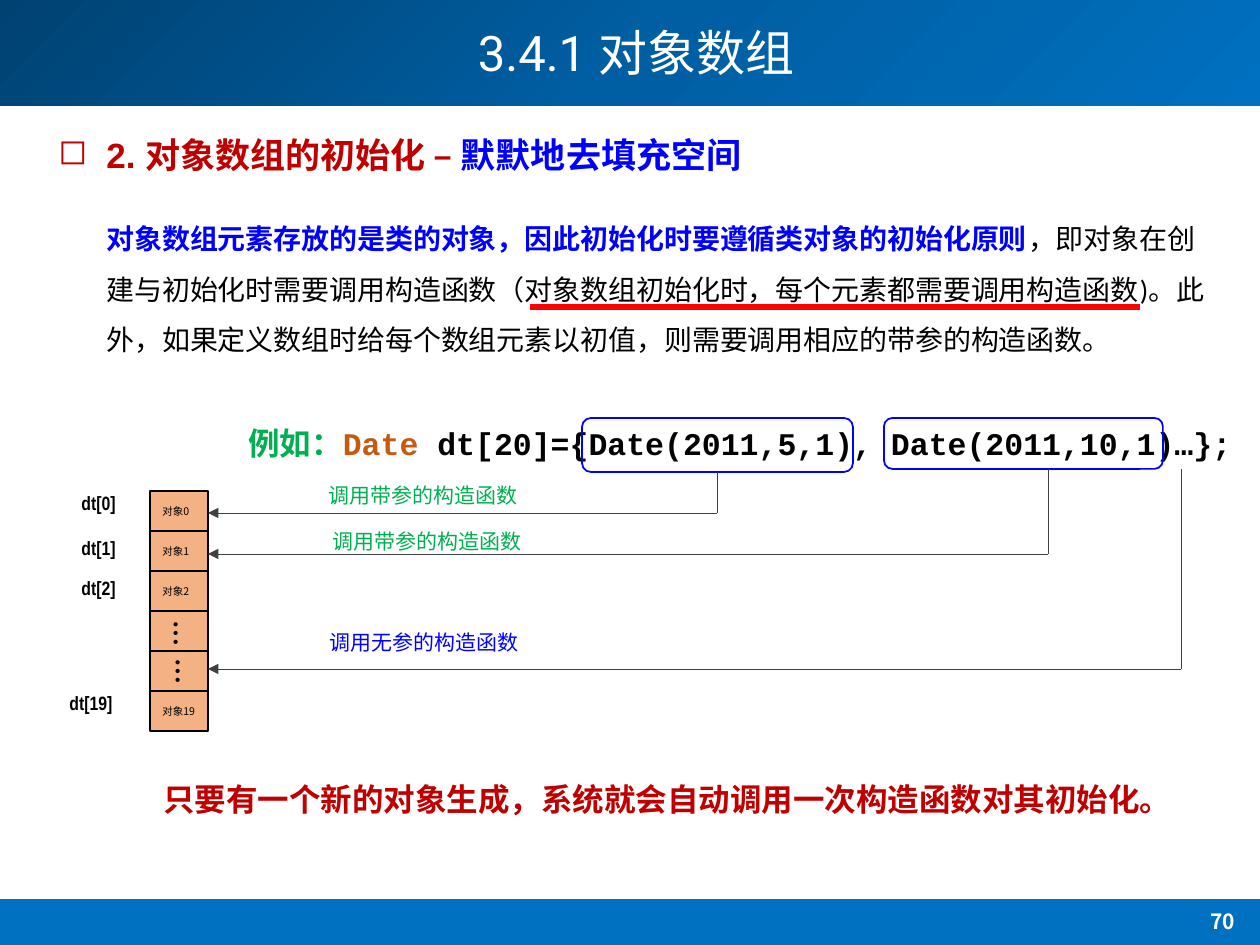
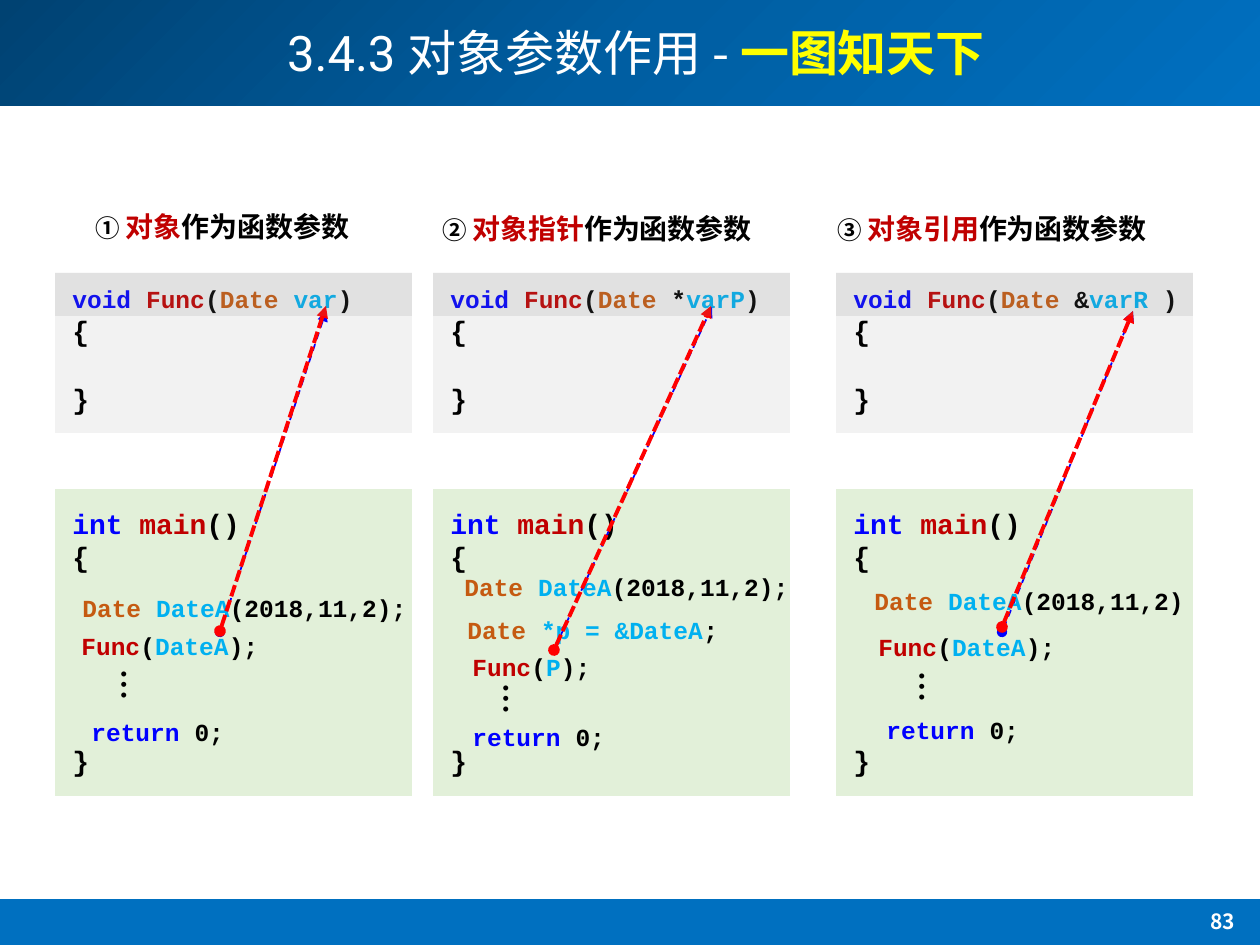
from copy import deepcopy

from pptx import Presentation
from pptx.dml.color import RGBColor
from pptx.enum.dml import MSO_LINE
from pptx.enum.shapes import MSO_CONNECTOR, MSO_SHAPE as SHAPE
from pptx.enum.text import MSO_ANCHOR as ANCHOR, PP_ALIGN as ALIGN
from pptx.oxml.ns import qn
from pptx.util import Emu, Pt
from lxml.etree import SubElement

PX_PER_INCH = 126
WIDTH, HEIGHT = 1260, 945

BLACK = RGBColor(0x00, 0x00, 0x00)
WHITE = RGBColor(0xFF, 0xFF, 0xFF)
NAVY = RGBColor(0x00, 0x42, 0x72)
MID_BLUE = RGBColor(0x00, 0x5E, 0xA2)
BAND_BLUE = RGBColor(0x00, 0x70, 0xC0)
BLUE = RGBColor(0x00, 0x00, 0xFF)
CYAN = RGBColor(0x00, 0xB0, 0xF0)
DARK_RED = RGBColor(0xC0, 0x00, 0x00)
RED = RGBColor(0xFF, 0x00, 0x00)
GREEN = RGBColor(0x00, 0xB0, 0x50)
BROWN = RGBColor(0xC5, 0x5A, 0x11)
YELLOW = RGBColor(0xFF, 0xFF, 0x00)
ORANGE = RGBColor(0xF4, 0xB1, 0x83)
GRAY = RGBColor(0x80, 0x80, 0x80)
DARK_GRAY = RGBColor(0x40, 0x40, 0x40)
LIGHT_GRAY = RGBColor(0xF2, 0xF2, 0xF2)
LIGHT_GREEN = RGBColor(0xE2, 0xF0, 0xD9)

CJK, CALIBRI, MONO = "Noto Sans CJK SC", "Calibri", "Courier New"
CODE = dict(font=MONO, bold=True)


def px(length):
    return Emu(round(length * 914400 / PX_PER_INCH))


def span(text, color=BLACK, **changes):
    return text, dict(changes, color=color)


def write(frame, *lines, align=None, anchor=ANCHOR.TOP, wrap=True, gaps=(), line_spacing=None,
          bullet=None, **look):
    """Fill a frame with lines of spans; gaps holds the points before each line."""
    frame.word_wrap = wrap
    frame.vertical_anchor = anchor
    for index, line in enumerate(lines):
        para = frame.add_paragraph() if index else frame.paragraphs[0]
        if align is not None:
            para.alignment = align
        if line_spacing:
            para.line_spacing = line_spacing
        if index < len(gaps) and gaps[index]:
            para.space_before = Pt(gaps[index])
        if bullet:
            props = para._p.get_or_add_pPr()
            props.set("marL", str(px(48)))
            props.set("indent", str(-px(48)))
            SubElement(props, qn("a:buChar"), char=bullet)
        for text, changes in line:
            format_run(para.add_run(), text, **{**look, **changes})


def format_run(run, text, size, color, font=CALIBRI, bold=False):
    run.text = text
    run.font.size = Pt(size)
    run.font.bold = bold
    run.font.color.rgb = color
    run.font.name = font
    SubElement(run._r.get_or_add_rPr(), qn("a:ea"), typeface=CJK)


def add_text(page, box, *lines, **look):
    label = page.shapes.add_textbox(*map(px, box))
    write(label.text_frame, *lines, **look)
    return label


def add_panel(page, box, fill=None, line=None, kind=SHAPE.RECTANGLE, alpha=None):
    panel = page.shapes.add_shape(kind, *map(px, box))
    panel.shadow.inherit = False
    if fill is None:
        panel.fill.background()
    else:
        panel.fill.solid()
        panel.fill.fore_color.rgb = fill
        if alpha:
            color = panel._element.spPr.find(qn("a:solidFill"))[0]
            SubElement(color, qn("a:alpha"), val=str(alpha * 1000))
    if line is None:
        panel.line.fill.background()
    else:
        panel.line.color.rgb = line
        panel.line.width = Pt(1)
    return panel


def add_line(page, start, end, color, width, dash=None, head=None, tail=None):
    line = page.shapes.add_connector(MSO_CONNECTOR.STRAIGHT, *map(px, (*start, *end)))
    line.line.color.rgb = color
    line.line.width = Pt(width)
    if dash:
        line.line.dash_style = dash
    stroke = line.line._get_or_add_ln()
    for tag, kind in (("a:headEnd", head), ("a:tailEnd", tail)):
        if kind:
            SubElement(stroke, qn(tag), type=kind)
    SubElement(line._element.spPr, qn("a:effectLst"))


def add_page(deck, number, *title_spans):
    """Add a page with its title, both bands and the page number."""
    page = deck.slides.add_slide(deck.slide_layouts[5])
    header = add_panel(page, (0, 0, WIDTH, 106), BAND_BLUE)
    header.fill.gradient()
    header.fill.gradient_angle = 315
    stop_list = header._element.spPr.find(qn("a:gradFill")).find(qn("a:gsLst"))
    stop_list.append(deepcopy(stop_list[-1]))
    for stop, position, color in zip(header.fill.gradient_stops, (0, 0.5, 1),
                                     (NAVY, MID_BLUE, BAND_BLUE)):
        stop.position = position
        stop.color.rgb = color
    footer = add_panel(page, (0, 899, WIDTH, 46), BAND_BLUE)
    for band in (footer, header):
        page.shapes._spTree.insert(2, band._element)
    add_text(page, (1186, 902, 74, 43), [span(number, WHITE)],
             size=12, font=CJK, bold=True, align=ALIGN.CENTER)
    title = page.shapes.title
    title.left, title.top, title.width, title.height = map(px, (107, 0, 1058, 112))
    write(title.text_frame, title_spans, size=28, font=CJK, align=ALIGN.CENTER,
          anchor=ANCHOR.MIDDLE, line_spacing=0.9)
    return page


def add_explanation(page, left, top):
    add_text(page, (left, top, 985, 55),
             [span("2. 对象数组的初始化 – ", DARK_RED), span("默默地去填充空间", BLUE)],
             size=20, font="Arial", bold=True, bullet="◻")
    add_text(page, (left + 48, top + 72, 1137, 165),
             [span("对象数组元素存放的是类的对象，因此初始化时要遵循类对象的初始化原则", BLUE, bold=True),
              span("，即对象在创建与初始化时需要调用构造函数（对象数组初始化时，每个元素都需要"
                   "调用构造函数)。此外，如果定义数组时给每个数组元素以初值，则需要调用相应的"
                   "带参的构造函数。")],
             size=16, line_spacing=1.5)
    add_line(page, (left + 484, top + 180), (left + 1094, top + 180), RED, 3)


def add_array(page, left, top):
    """Draw the memory cells with their index labels."""
    cell_width, cell_height = 58, 40
    for row, text in enumerate(("对象0", "对象1", "对象2", None, None, "对象19")):
        cell = add_panel(page, (left, top + row * cell_height, cell_width, cell_height),
                         ORANGE, BLACK)
        if text:
            write(cell.text_frame, [span(text)], size=6, font=CJK, align=ALIGN.LEFT,
                  anchor=ANCHOR.MIDDLE, wrap=False)
    for text, x, y in (("dt[0]", -81, -6), ("dt[1]", -81, 39), ("dt[2]", -81, 79),
                       ("dt[19]", -93, 194)):
        add_text(page, (left + x, top + y, 92, 49), [span(text)],
                 size=11, font="Arial Narrow", bold=True)
    for x, y in ((-13, 106), (-11, 144)):
        dots = add_text(page, (left + x, top + y, 82, 74), [span("…")],
                        size=20, align=ALIGN.CENTER)
        dots.rotation = 90


def add_calls(page, left, top):
    """Draw the declaration and the paths from its parts to the cells."""
    add_text(page, (left + 28, top, 1020, 50),
             [span("例如", GREEN, font=CALIBRI), span("：", GREEN), span("Date ", BROWN),
              span("dt[20]={Date(2011,5,1), Date(2011,10,1)…};")],
             size=18, wrap=False, **CODE)
    for x, width, height in ((374, 271, 54), (676, 279, 51)):
        add_panel(page, (left + x, top, width, height), line=BLUE, kind=SHAPE.ROUNDED_RECTANGLE)
    for x, start, end in ((509, 54, 95), (840, 51, 136), (973, 51, 251)):
        corner = (left + x, top + end)
        add_line(page, corner, (left, top + end), DARK_GRAY, 0.5, tail="triangle")
        add_line(page, (left + x, top + start), corner, DARK_GRAY, 0.5)
    for text, color, x, y in (("调用带参的构造函数", GREEN, 108, 58),
                              ("调用带参的构造函数", GREEN, 112, 104),
                              ("调用无参的构造函数", BLUE, 109, 205)):
        add_text(page, (left + x, top + y, 362, 38), [span(text, color)], size=12)


def build_array_page(deck):
    page = add_page(deck, "70", span("3.4.1 ", WHITE, font="Roboto"), span("对象数组", WHITE))
    add_explanation(page, 46, 127)
    add_array(page, 150, 491)
    add_calls(page, 208, 418)
    add_text(page, (151, 774, 1051, 50),
             [span("只要有一个新的对象生成，系统就会自动调用一次构造函数对其初始化。", DARK_RED)],
             size=18, font=CJK, bold=True)


def declaration(end=");"):
    return [span("Date ", BROWN), span("DateA", CYAN), span("(2018,11,2" + end)]


def call(argument):
    return [span("Func", DARK_RED), span("("), span(argument, CYAN), span(");")]


RETURN = [span("return", BLUE), span(" 0;")]

# Each statement, arrow and dots position is measured from the left of its column.
COLUMNS = (
    dict(left=55, heading=(5, 203, 325), number="①", subject="对象",
         parameter=[span("Date ", BROWN), span("var", CYAN), span(")")],
         statements=((15, 587, declaration()), (14, 625, call("DateA")), (24, 711, RETURN)),
         dots=(38, 658), blue=((165, 632), (271, 311)), red=((165, 631), (271, 306))),
    dict(left=433, heading=(-13, 205, 354), number="②", subject="对象指针",
         parameter=[span("Date", BROWN), span(" *"), span("varP", CYAN), span(")")],
         statements=((19, 566, declaration()),
                     (22, 609, [span("Date", BROWN), span(" *p = &DateA", CYAN), span(";")]),
                     (27, 646, call("P")), (27, 716, RETURN)),
         dots=(42, 672), blue=((121, 650), (279, 307)), red=((121, 650), (278, 306))),
    dict(left=836, heading=(-21, 205, 354), number="③", subject="对象引用",
         parameter=[span("Date ", BROWN), span("&"), span("varR ", CYAN), span(")")],
         statements=((26, 580, declaration(")")), (30, 626, call("DateA")), (38, 709, RETURN)),
         dots=(55, 660), blue=((166, 632), (297, 311)), red=((166, 627), (297, 311))),
)


def add_column(page, left, heading, number, subject, parameter, statements, dots, blue, red):
    """Draw one way of passing an object: heading, function, main and arrow."""
    def arrow(ends, color, width, dash):
        start, end = ((left + x, y) for x, y in ends)
        add_line(page, start, end, color, width, dash, head="oval", tail="triangle")

    x, y, width = heading
    add_text(page, (left + x, y, width, 47),
             [span(number + " ", size=14), span(subject, DARK_RED), span("作为函数参数")],
             size=16, font="Arial", bold=True, align=ALIGN.CENTER)
    add_panel(page, (left, 273, 357, 160), LIGHT_GRAY)
    add_panel(page, (left, 489, 357, 307), LIGHT_GREEN)
    signature = [span("void ", BLUE), span("Func", DARK_RED), span("("), *parameter]
    add_text(page, (left + 5, 278, 350, 149),
             [(text, dict(changes, size=14)) for text, changes in signature],
             [span("{")], [span("}")], size=16, gaps=(0, 0, 19.4), **CODE)
    add_text(page, (left + 5, 500, 344, 285),
             [span("int ", BLUE), span("main", DARK_RED), span("()")],
             [span("{")], [span("}")], size=16, gaps=(0, 0, 97), **CODE)
    arrow(blue, BLUE, 1, MSO_LINE.DASH)
    for x, y, line in statements:
        add_text(page, (left + x, y, 352, 43), line, size=14, **CODE)
    x, y = dots
    ellipsis = add_text(page, (left + x, y, 77, 67), [span("…")], size=24, align=ALIGN.CENTER)
    ellipsis.text_frame._txBody.bodyPr.set("vert", "eaVert")
    arrow(red, RED, 2.25, MSO_LINE.SQUARE_DOT)
    add_panel(page, (left, 273, 357, 43), GRAY, alpha=14)


def build_parameter_page(deck):
    page = add_page(deck, "83", span("3.4.3 ", WHITE, font="Roboto"),
                    span("对象参数作用 - ", WHITE), span("一图知天下", YELLOW, bold=True))
    for column in COLUMNS:
        add_column(page, **column)


def main():
    deck = Presentation()
    deck.slide_width, deck.slide_height = px(WIDTH), px(HEIGHT)
    build_array_page(deck)
    build_parameter_page(deck)
    deck.save("out.pptx")


if __name__ == "__main__":
    main()
